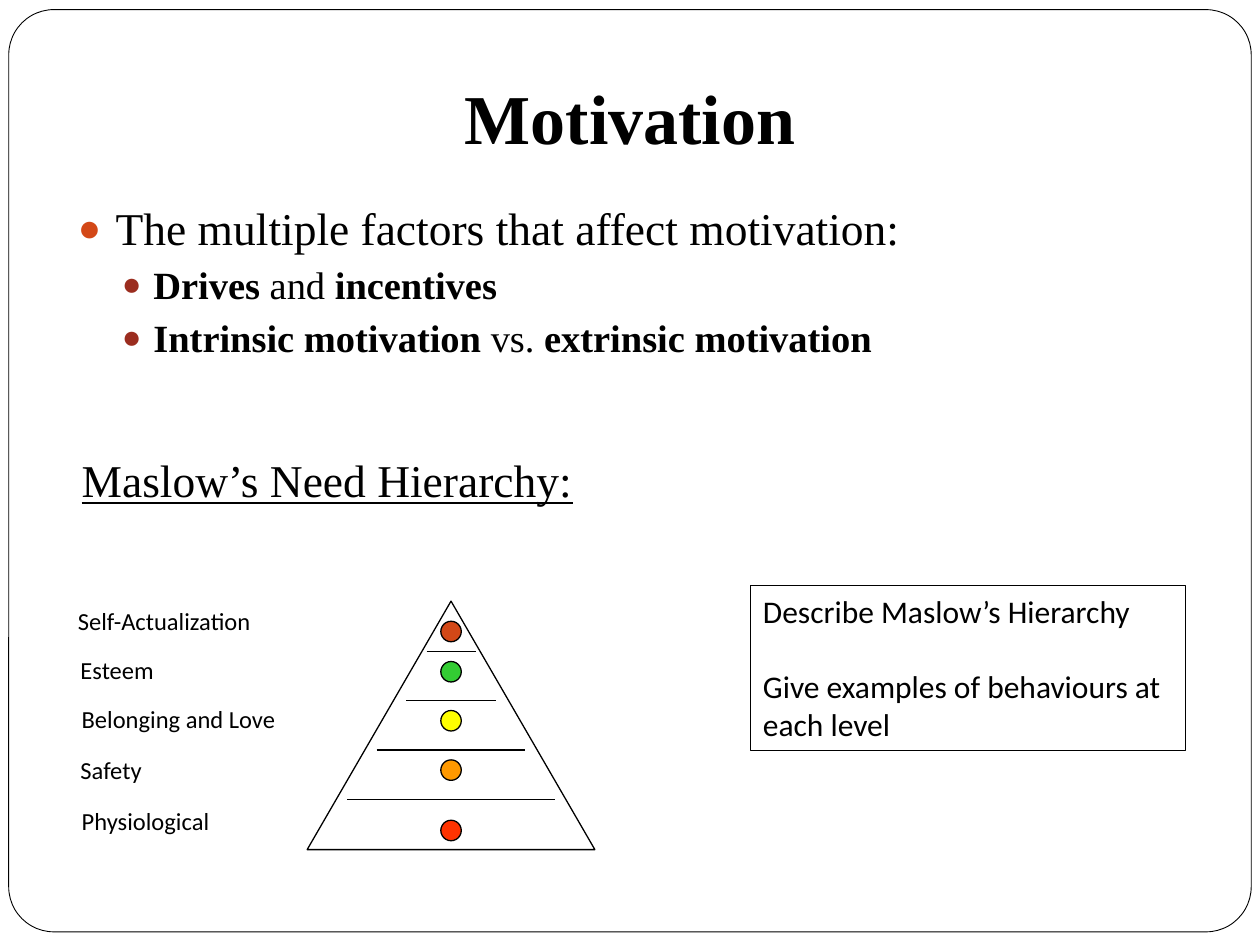
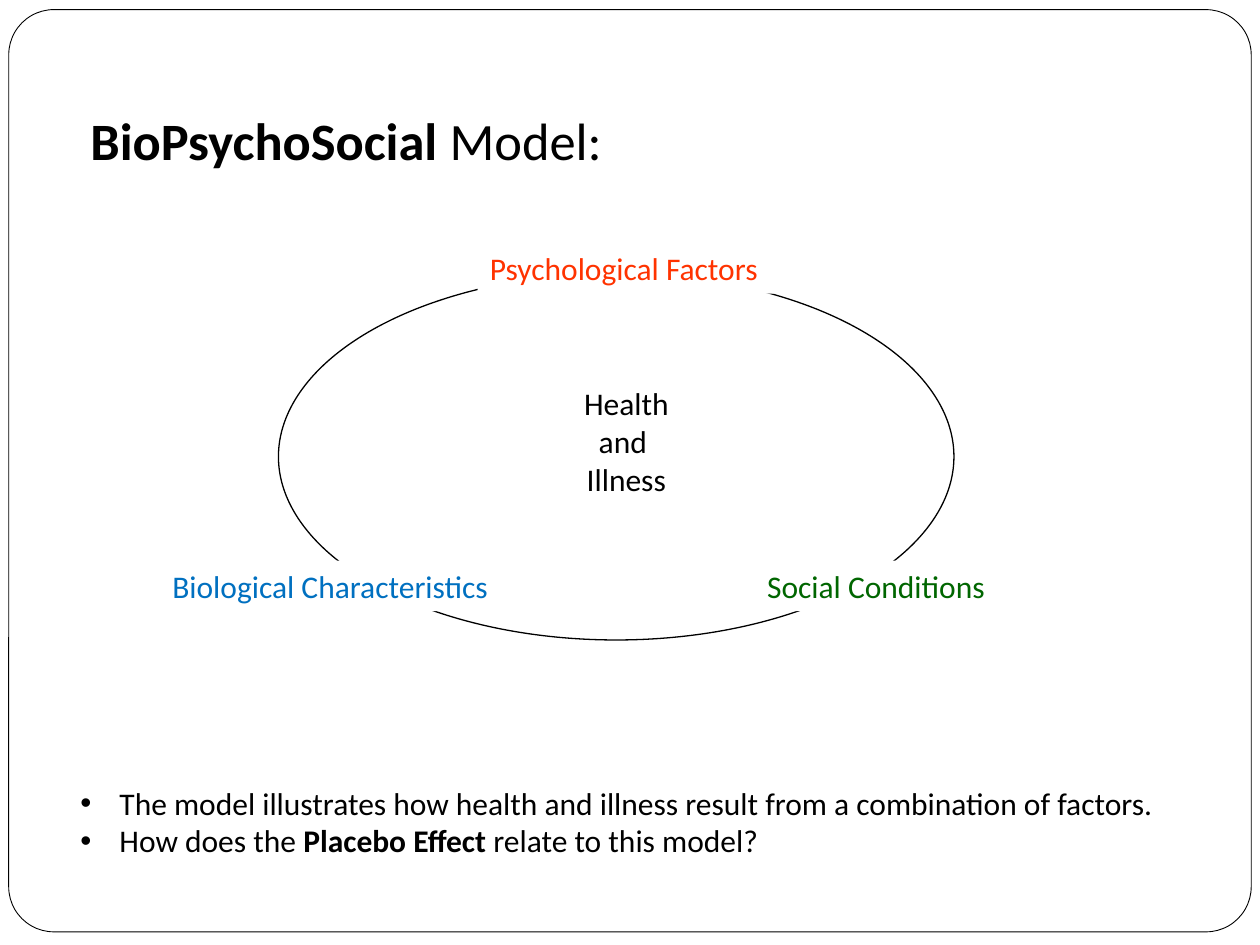
"""Build two psychology slides: motivation and the health model."""
from lxml.etree import SubElement
from pptx import Presentation
from pptx.dml.color import RGBColor as Rgb
from pptx.enum.shapes import MSO_CONNECTOR as Link, MSO_SHAPE as Form
from pptx.enum.text import MSO_ANCHOR as Anchor, PP_ALIGN as Align
from pptx.oxml.ns import qn
from pptx.util import Pt

HUES = {
    "ink": "000000", "paper": "FFFFFF", "rust": "D34817", "brick": "9B2D1F",
    "lime": "33CC33", "sun": "FFFF00", "amber": "FF9900", "red": "FF3300",
    "leaf": "006600", "blue": "0070C0",
}
SANS, SERIF = "Calibri", "Times New Roman"
APEX, TOP, DOT = 257.75, 343.5, 11.7
LEVELS = [
    ("Self-Actualization", 37.4, 342.7, 113.8, "rust", 355, 372.2, 14),
    ("Esteem", 38.9, 370.8, 56.9, "lime", 378, 400.3, 25.6),
    ("Belonging and Love", 39.6, 398.9, 125.3, "sun", 406, 428.6, 42.5),
    ("Safety", 38.9, 427.7, 49.7, "amber", 434.2, 457, 59.4),
    ("Physiological", 39.6, 457.2, 87.8, "red", 468.7, None, 0),
]
FACTORS = [
    ("Psychological Factors", 272.9, 139, 169.2, "red"),
    ("Social Conditions", 431.3, 320.4, 139, "leaf"),
    ("Biological Characteristics", 91.4, 320.4, 195.8, "blue"),
]


def tint(hue):
    return Rgb.from_string(HUES[hue])


def shape(shapes, form, at, fill=None, line="ink", width=0.75):
    item = shapes.add_shape(form, *map(Pt, at))
    item.shadow.inherit = False
    if fill:
        item.fill.solid()
        item.fill.fore_color.rgb = tint(fill)
    else:
        item.fill.background()
    if line:
        item.line.color.rgb = tint(line)
        item.line.width = Pt(width)
    else:
        item.line.fill.background()
    return item


def rule(shapes, left, right, y):
    line = shapes.add_connector(Link.STRAIGHT, Pt(left), Pt(y), Pt(right), Pt(y))
    line.line.color.rgb = tint("ink")
    line.line.width = Pt(0.75)
    SubElement(line._element.spPr, qn("a:effectLst"))


def frame(item, wrap=True, anchor=Anchor.TOP):
    box = item.text_frame
    box.word_wrap = wrap
    box.vertical_anchor = anchor
    return box


def text(shapes, at, wrap=True, anchor=Anchor.TOP):
    return frame(shapes.add_textbox(*map(Pt, at)), wrap, anchor)


def para(box, runs, size=18, font=SANS, hue="ink", align=Align.LEFT, gap=0, line=False):
    """Add a paragraph whose runs are plain strings, or 1-tuples when bold."""
    first = box.paragraphs[0]
    par = box.add_paragraph() if first.runs else first
    par.alignment = align
    par.space_before = Pt(gap)
    for part in runs:
        run = par.add_run()
        bold = isinstance(part, tuple)
        run.text = part[0] if bold else part
        run.font.name, run.font.size = font, Pt(size)
        run.font.bold, run.font.underline = bold, line
        run.font.color.rgb = tint(hue)
    return par


def bullet(par, left, hang, mark="•", hue=None, scale=100):
    props = par._p.get_or_add_pPr()
    props.set("marL", str(Pt(left)))
    props.set("indent", str(-Pt(hang)))
    if hue:
        SubElement(SubElement(props, qn("a:buClr")), qn("a:srgbClr"), val=HUES[hue])
    SubElement(props, qn("a:buSzPct"), val=str(scale * 1000))
    SubElement(props, qn("a:buFont"), typeface="Arial")
    SubElement(props, qn("a:buChar"), char=mark)


def page(deck):
    shapes = deck.slides.add_slide(deck.slide_layouts[6]).shapes
    card = shape(shapes, Form.ROUNDED_RECTANGLE, (5, 5.5, 710, 527), "paper", width=0.5)
    card.adjustments[0] = 0.049
    return shapes


def pyramid(shapes):
    group = shapes.add_group_shape().shapes
    shape(group, Form.ISOSCELES_TRIANGLE, (APEX - 82.2, TOP, 164.4, 142))
    for name, x, y, width, hue, spot, base, half in LEVELS:
        if base:
            rule(group, APEX - half, APEX + half, base)
        shape(group, Form.OVAL, (APEX - DOT / 2, spot, DOT, DOT), hue)
        para(text(group, (x, y, width, 24), False), [name], 14)


def drive(deck):
    shapes = page(deck)
    head = text(shapes, (36, 21.6, 648, 90), anchor=Anchor.MIDDLE)
    para(head, [("Motivation",)], 40, SERIF, align=Align.CENTER)
    pyramid(shapes)
    task = shape(shapes, Form.RECTANGLE, (428.9, 334.6, 248.6, 94.5))
    box = frame(task, False)
    para(box, ["Describe Maslow’s Hierarchy"])
    para(box, ["Give examples of behaviours at "], gap=21.6)
    para(box, ["each level"])
    para(text(shapes, (39.6, 255, 399, 39)), ["Maslow’s Need Hierarchy:"], 26, SERIF, line=True)
    body = text(shapes, (37.4, 111, 486, 114))
    lead = para(body, ["The multiple factors that affect motivation:"], 26, SERIF, gap=5.8)
    bullet(lead, 21.6, 21.6, "●", "rust", 85)
    for runs in ([("Drives",), " and ", ("incentives",)],
                 [("Intrinsic motivation ",), "vs. ", ("extrinsic motivation",)]):
        par = para(body, runs, 22, SERIF, gap=3.7)
        par.level = 1
        bullet(par, 43.2, 18, "●", "brick", 85)


def health(deck):
    shapes = page(deck)
    shape(shapes, Form.OVAL, (159.1, 156.2, 386, 209.5))
    para(text(shapes, (44.6, 58.3, 307.4, 44)), [("BioPsychoSocial",), " Model:"], 30)
    notes = frame(shape(shapes, Form.RECTANGLE, (38.9, 444.2, 636.5, 51), "paper", "paper"))
    for runs in (["The model illustrates how health and illness result from a combination of factors."],
                 ["How does the ", ("Placebo Effect ",), "relate to this model?"]):
        bullet(para(notes, runs), 22.3, 22.3)
    core = text(shapes, (326.2, 216, 63.4, 72), False)
    for word in ("Health", "and ", "Illness"):
        para(core, [word], align=Align.CENTER)
    for name, x, y, width, hue in FACTORS:
        tag = shape(shapes, Form.RECTANGLE, (x, y, width, 28.8), "paper", None)
        para(frame(tag, False), [name], hue=hue)


def main():
    deck = Presentation()
    deck.slide_width, deck.slide_height = Pt(720), Pt(540)
    drive(deck)
    health(deck)
    deck.save("out.pptx")


main()
